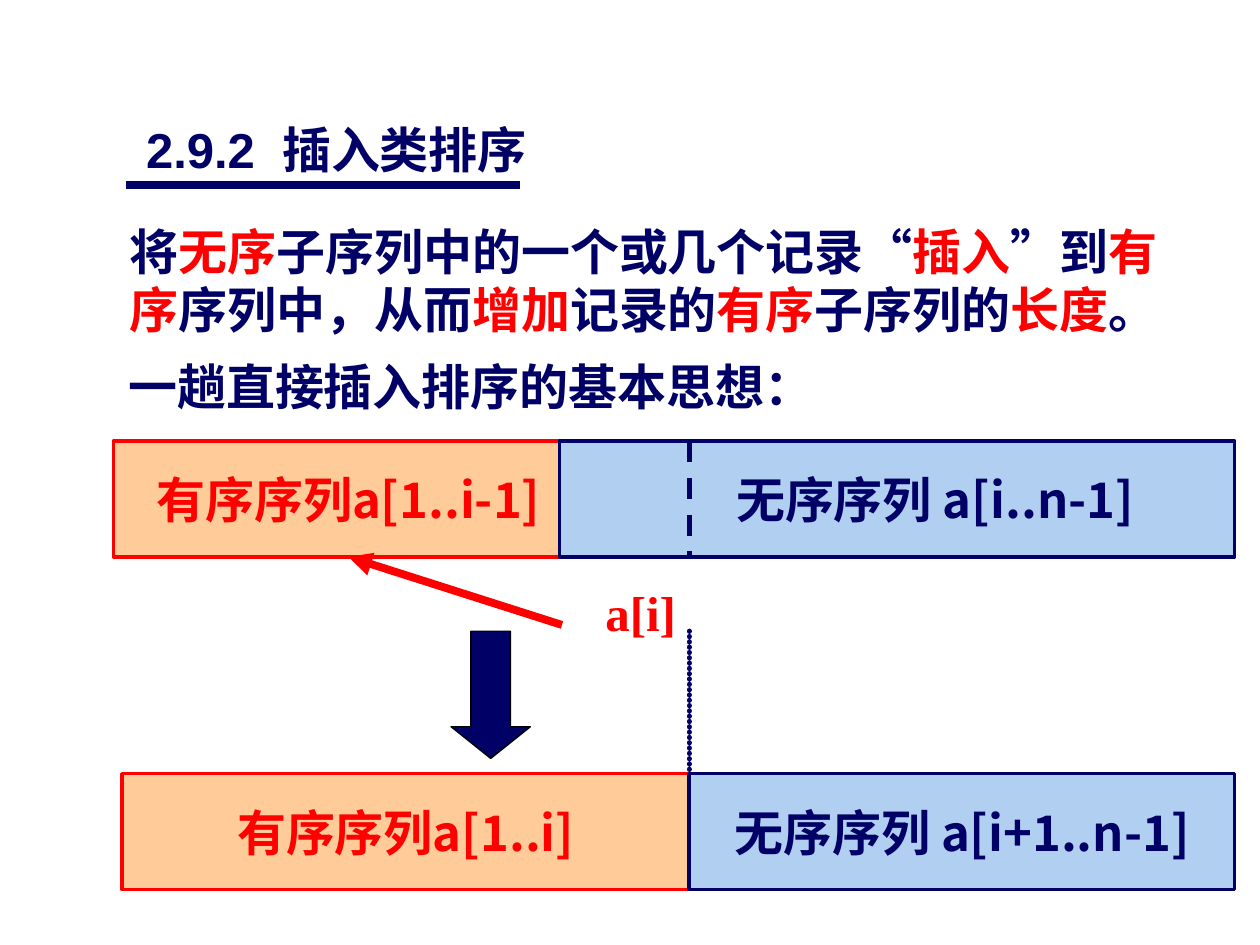
import pptx
import pptx.util
import pptx.dml.color
import pptx.enum.dml
import pptx.enum.shapes
import pptx.enum.text
import pptx.oxml
import pptx.oxml.ns

Inches = pptx.util.Inches
Pt = pptx.util.Pt
qn = pptx.oxml.ns.qn
Dash = pptx.enum.dml.MSO_LINE
Shape = pptx.enum.shapes.MSO_SHAPE
Align = pptx.enum.text.PP_ALIGN
Anchor = pptx.enum.text.MSO_ANCHOR

COLORS = {
    "navy": "000066",
    "red": "FF0000",
    "orange": "FFCC99",
    "blue": "B1CFF1",
    "black": "000000",
}
CJK = "Noto Sans CJK SC"
TITLE = [[("2.9.2  插入类排序", "navy")]]
DEFINITION = [
    [("将", "navy"), ("无序", "red"), ("子序列中的一个或几个记录“", "navy"),
     ("插入", "red"), ("”到", "navy"), ("有", "red")],
    [("序", "red"), ("序列中，从而", "navy"), ("增加", "red"), ("记录的", "navy"),
     ("有序", "red"), ("子序列的", "navy"), ("长度", "red"), ("。", "navy")],
]
IDEA = [[("一趟直接插入排序的基本思想：", "navy")]]
INSERTED = [[("a[i]", "red")]]

RIGHT = 9.8
SPLIT = 5.47
ROW_HEIGHT = 0.92
SEQUENCES = [
    ("有序序列a[1..i-1]", 0.9, 4.63, 3.5, "orange", "red", 0.1),
    ("无序序列 a[i..n-1]", 4.44, RIGHT, 3.5, "blue", "navy", 0.7),
    ("有序序列a[1..i]", 0.97, SPLIT, 6.14, "orange", "red", 0.1),
    ("无序序列 a[i+1..n-1]", SPLIT, RIGHT, 6.14, "blue", "navy", 0.1),
]


def rgb(name):
    return pptx.dml.color.RGBColor.from_string(COLORS[name])


def place(shape, left, top, width, height):
    shape.left, shape.top = Inches(left), Inches(top)
    shape.width, shape.height = Inches(width), Inches(height)


def write(shape, lines, font, align=Align.LEFT, anchor=Anchor.TOP, spacing=None, left_margin=0.1):
    frame = shape.text_frame
    frame.word_wrap = False
    frame.auto_size = pptx.enum.text.MSO_AUTO_SIZE.NONE
    frame.vertical_anchor = anchor
    frame.margin_left, frame.margin_right = Inches(left_margin), Inches(0.1)
    frame.margin_top = frame.margin_bottom = Inches(0.05)
    for index, line in enumerate(lines):
        paragraph = frame.paragraphs[0] if index == 0 else frame.add_paragraph()
        paragraph.alignment = align
        paragraph.space_before = Pt(0)
        if spacing:
            paragraph.line_spacing = Pt(spacing)
        if shape.is_placeholder:
            properties = paragraph._p.get_or_add_pPr()
            properties.set("marL", "0")
            properties.set("indent", "0")
            properties.append(pptx.oxml.parse_xml(
                f'<a:buNone {pptx.oxml.ns.nsdecls("a")}/>'))
        for text, color in line:
            run = paragraph.add_run()
            run.text = text
            run.font.size = Pt(28)
            run.font.bold = True
            run.font.name = font
            run.font.color.rgb = rgb(color)
            east_asian = run._r.get_or_add_rPr().makeelement(qn("a:ea"), {"typeface": CJK})
            run._r.get_or_add_rPr().append(east_asian)


def add_box(slide, kind, bounds, fill, line, width):
    shape = slide.shapes.add_shape(kind, *map(Inches, bounds))
    shape.shadow.inherit = False
    shape.fill.solid()
    shape.fill.fore_color.rgb = rgb(fill)
    shape.line.color.rgb = rgb(line)
    shape.line.width = Pt(width)
    return shape


def add_line(slide, start, end, color, width, dash=None):
    connector = slide.shapes.add_connector(
        pptx.enum.shapes.MSO_CONNECTOR.STRAIGHT, *map(Inches, start + end))
    connector.line.color.rgb = rgb(color)
    connector.line.width = Pt(width)
    if dash:
        connector.line.dash_style = dash
    properties = connector._element.spPr
    properties.append(properties.makeelement(qn("a:effectLst"), {}))
    return connector


def add_text(slide, bounds, lines, **style):
    box = slide.shapes.add_textbox(*map(Inches, bounds))
    write(box, lines, "Times New Roman", **style)


def main():
    presentation = pptx.Presentation()
    presentation.slide_width, presentation.slide_height = Inches(10), Inches(7.5)
    slide = presentation.slides.add_slide(presentation.slide_layouts[1])

    title, body = slide.shapes.title, slide.placeholders[1]
    place(title, 1.06, 0.91, 3.94, 0.57)
    write(title, TITLE, "Arial", spacing=33)
    place(body, 0.93, 1.72, 8.6, 1.04)
    write(body, DEFINITION, "Arial", spacing=33)
    add_line(slide, (1, 1.47), (4.13, 1.47), "navy", 4.25)
    add_text(slide, (0.92, 2.79, 5.63, 0.57), IDEA, spacing=33)
    add_text(slide, (4.45, 4.54, 1.27, 0.63), INSERTED,
             align=Align.CENTER, anchor=Anchor.MIDDLE)

    boxes = []
    for text, left, right, top, fill, color, margin in SEQUENCES:
        bounds = (left, top, right - left, ROW_HEIGHT)
        box = add_box(slide, Shape.RECTANGLE, bounds, fill, color, 2)
        write(box, [[(text, color)]], CJK, Align.CENTER, Anchor.MIDDLE, left_margin=margin)
        boxes.append(box)

    insertion = add_line(slide, (4.46, 4.96), (2.77, 4.42), "red", 4.5)
    insertion.end_connect(boxes[0], 2)
    outline = insertion.line._get_or_add_ln()
    outline.append(outline.makeelement(qn("a:tailEnd"), {"type": "triangle"}))

    arrow = add_box(slide, Shape.DOWN_ARROW, (3.58, 5.01, 0.63, 1.01), "navy", "black", 0.75)
    arrow.adjustments[0], arrow.adjustments[1] = 0.5, 0.4

    add_line(slide, (SPLIT, 3.5), (SPLIT, 4.41), "navy", 3, Dash.DASH)
    dotted = add_line(slide, (SPLIT, 5.01), (SPLIT, 6.11), "navy", 3)
    outline = dotted.line._get_or_add_ln()
    outline.set("cap", "rnd")
    outline.append(pptx.oxml.parse_xml(
        f'<a:custDash {pptx.oxml.ns.nsdecls("a")}><a:ds d="100000" sp="1000"/></a:custDash>'))

    presentation.save("out.pptx")


if __name__ == "__main__":
    main()
